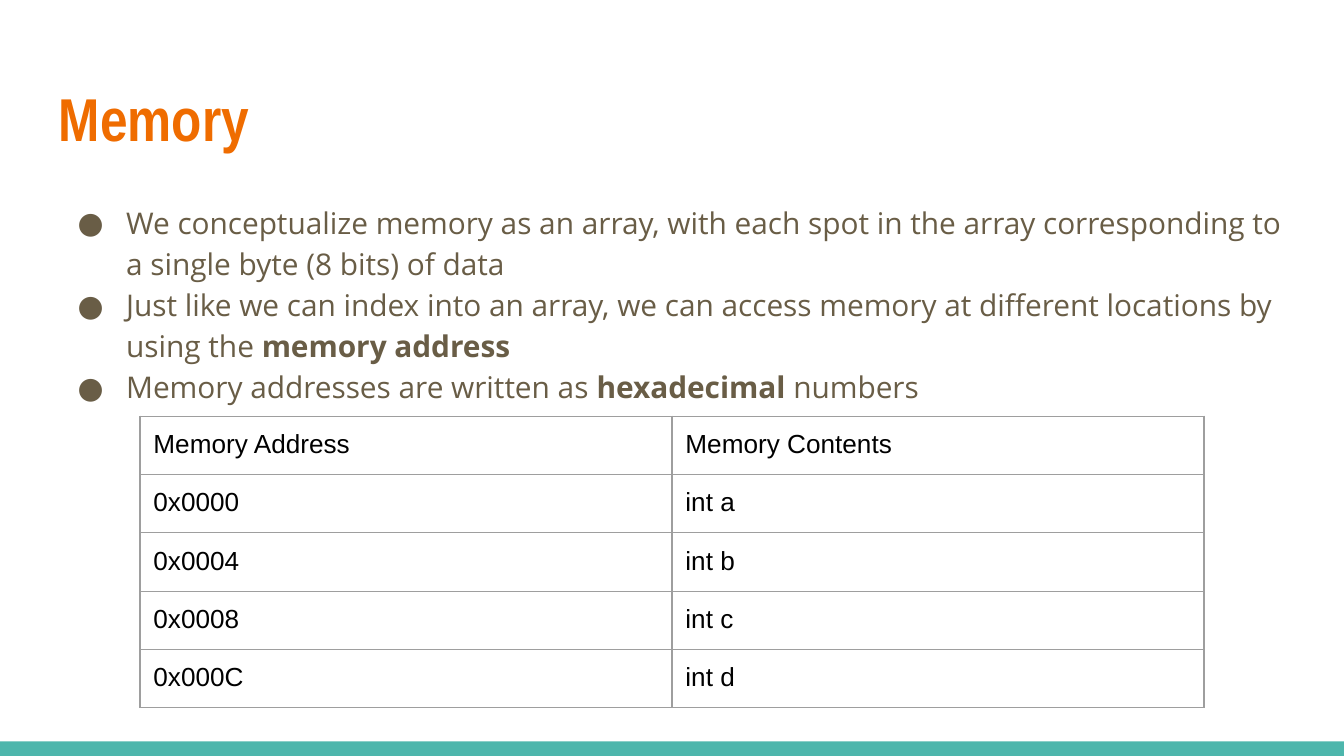
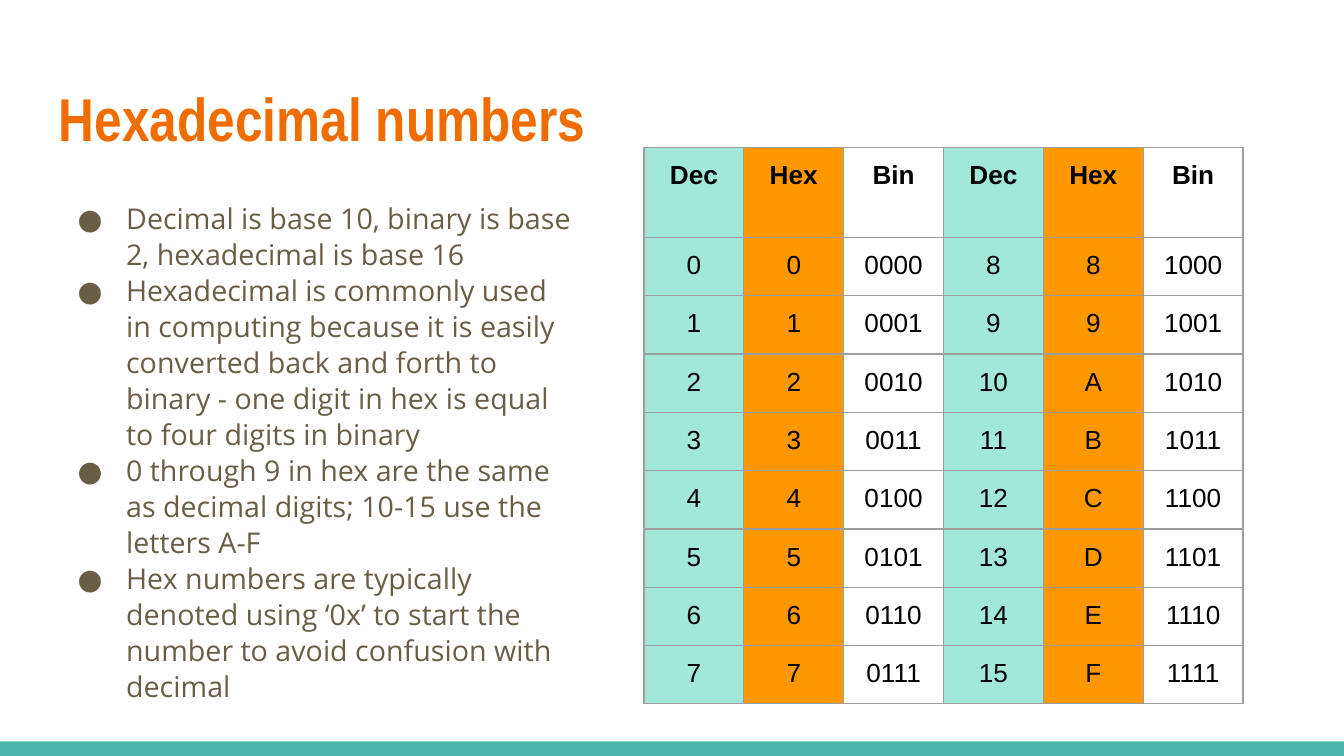
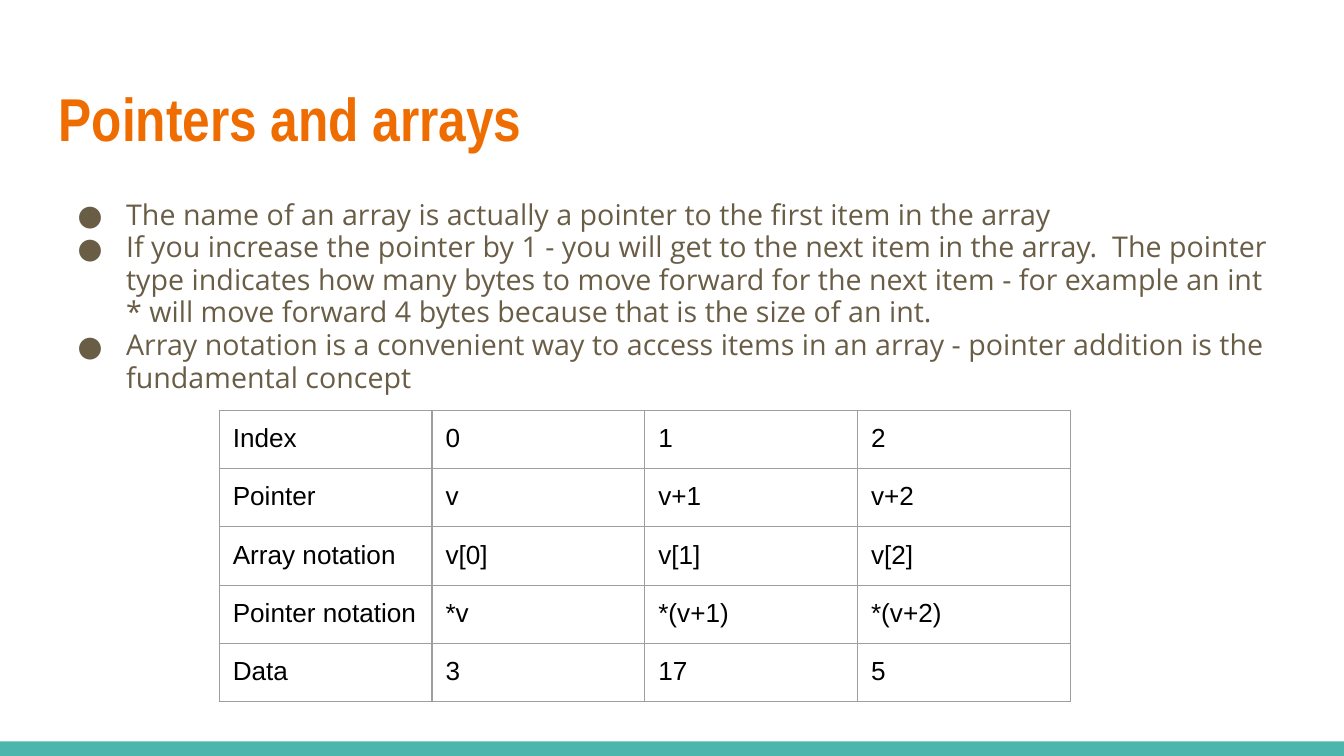
from lxml.etree import SubElement
from pptx import Presentation
from pptx.dml.color import RGBColor
from pptx.enum.shapes import MSO_SHAPE
from pptx.enum.text import MSO_ANCHOR, PP_ALIGN
from pptx.oxml.ns import qn
from pptx.util import Pt

# Shared style
TEAL, ORANGE, BROWN = "4DB6AC", "EF6C00", "695D46"
MINT, AMBER, GREY, BLACK = "A1E8D9", "FF9800", "9E9E9E", "000000"
TITLE_FONT, BODY_FONT, TABLE_FONT = "Arial Narrow", "Open Sans", "Arial"
SLIDE_WIDTH, SLIDE_HEIGHT = 720, 405
BAND_TOP = 397.2
TEXT_LEFT, TITLE_WIDTH = 24.5, 671
INSET = 7.2


def color(hex_string):
    return RGBColor.from_string(hex_string)


def add_run(paragraph, text, font_name, size, hex_string, bold=False):
    run = paragraph.add_run()
    run.text = text
    run.font.name = font_name
    run.font.size = Pt(size)
    run.font.bold = bold
    run.font.color.rgb = color(hex_string)


# Content: each bullet is a list of (text, bold) runs
hexadecimal_rows = [["Dec", "Hex", "Bin"] * 2]
for number in range(8):
    hexadecimal_rows.append([form for value in (number, number + 8)
                             for form in (f"{value}", f"{value:X}", f"{value:04b}")])

slides = [
    {
        "title": "Memory",
        "bullets": [
            [("We conceptualize memory as an array, with each spot in the array "
              "corresponding to a single byte (8 bits) of data", False)],
            [("Just like we can index into an array, we can access memory at "
              "different locations by using the ", False), ("memory address", True)],
            [("Memory addresses are written as ", False), ("hexadecimal ", True),
             ("numbers", False)],
        ],
        "body": {"width": 671, "height": 260, "size": 16, "spacing": 1.15},
        "table": {"left": 75, "top": 223, "column": 285, "header": 30.1, "row": 30.1},
        "rows": [["Memory Address", "Memory Contents"], ["0x0000", "int a"],
                 ["0x0004", "int b"], ["0x0008", "int c"], ["0x000C", "int d"]],
        "fills": [None],
        "align": PP_ALIGN.LEFT,
        "bold_header": False,
    },
    {
        "title": "Hexadecimal numbers",
        "bullets": [
            [("Decimal is base 10, binary is base 2, hexadecimal is base 16", False)],
            [("Hexadecimal is commonly used in computing because it is easily "
              "converted back and forth to binary - one digit in hex is equal to "
              "four digits in binary", False)],
            [("0 through 9 in hex are the same as decimal digits; 10-15 use the "
              "letters A-F", False)],
            [("Hex numbers are typically denoted using ‘0x’ to start the number "
              "to avoid confusion with decimal", False)],
        ],
        "body": {"width": 289.5, "height": 297.5, "size": 15.3, "spacing": 1.05},
        "table": {"left": 345, "top": 79, "column": 53.5, "header": 48.2, "row": 31.2},
        "rows": hexadecimal_rows,
        "fills": [MINT, AMBER, None],
        "align": PP_ALIGN.CENTER,
        "bold_header": True,
    },
    {
        "title": "Pointers and arrays",
        "bullets": [
            [("The name of an array is actually a pointer to the first item in the "
              "array", False)],
            [("If you increase the pointer by 1 - you will get to the next item in "
              "the array.  The pointer type indicates how many bytes to move forward "
              "for the next item - for example an int * will move forward 4 bytes "
              "because that is the size of an int.", False)],
            [("Array notation is a convenient way to access items in an array - "
              "pointer addition is the fundamental concept", False)],
        ],
        "body": {"width": 671, "height": 126, "size": 15.3, "spacing": 0.95},
        "table": {"left": 117.5, "top": 219.8, "column": 114, "header": 30.1, "row": 30.1},
        "rows": [["Index", "0", "1", "2"],
                 ["Pointer", "v", "v+1", "v+2"],
                 ["Array notation", "v[0]", "v[1]", "v[2]"],
                 ["Pointer notation", "*v", "*(v+1)", "*(v+2)"],
                 ["Data", "3", "17", "5"]],
        "fills": [None],
        "align": PP_ALIGN.LEFT,
        "bold_header": False,
    },
]

presentation = Presentation()
presentation.slide_width = Pt(SLIDE_WIDTH)
presentation.slide_height = Pt(SLIDE_HEIGHT)

for content in slides:
    slide = presentation.slides.add_slide(presentation.slide_layouts[6])

    # Bottom band
    band = slide.shapes.add_shape(MSO_SHAPE.RECTANGLE, Pt(0), Pt(BAND_TOP),
                                  Pt(SLIDE_WIDTH), Pt(SLIDE_HEIGHT - BAND_TOP))
    band.shadow.inherit = False
    band.fill.solid()
    band.fill.fore_color.rgb = color(TEAL)
    band.line.fill.background()

    # Title and body boxes
    body = content["body"]
    title_box = slide.shapes.add_textbox(Pt(TEXT_LEFT), Pt(35.5), Pt(TITLE_WIDTH), Pt(55))
    body_box = slide.shapes.add_textbox(Pt(TEXT_LEFT), Pt(99.5),
                                        Pt(body["width"]), Pt(body["height"]))
    for box in (title_box, body_box):
        frame = box.text_frame
        frame.word_wrap = True
        frame.margin_left = frame.margin_right = Pt(INSET)
        frame.margin_top = frame.margin_bottom = Pt(INSET)
    title_box.text_frame.vertical_anchor = MSO_ANCHOR.MIDDLE
    add_run(title_box.text_frame.paragraphs[0], content["title"],
            TITLE_FONT, 32.4, ORANGE, True)

    # Bullets
    for index, runs in enumerate(content["bullets"]):
        frame = body_box.text_frame
        paragraph = frame.add_paragraph() if index else frame.paragraphs[0]
        paragraph.line_spacing = body["spacing"]
        properties = paragraph._p.get_or_add_pPr()
        properties.set("marL", str(Pt(36)))
        properties.set("indent", str(-Pt(26)))
        bullet_color = SubElement(properties, qn("a:buClr"))
        SubElement(bullet_color, qn("a:srgbClr"), val=BROWN)
        SubElement(properties, qn("a:buFont"), typeface=BODY_FONT)
        SubElement(properties, qn("a:buChar"), char="●")
        for text, bold in runs:
            add_run(paragraph, text, BODY_FONT, body["size"], BROWN, bold)

    # Table grid
    rows, grid = content["rows"], content["table"]
    row_count, column_count = len(rows), len(rows[0])
    table = slide.shapes.add_table(
        row_count, column_count, Pt(grid["left"]), Pt(grid["top"]),
        Pt(grid["column"] * column_count),
        Pt(grid["header"] + grid["row"] * (row_count - 1))).table
    table.first_row = table.horz_banding = False
    for column in table.columns:
        column.width = Pt(grid["column"])
    for row_index, row in enumerate(table.rows):
        row.height = Pt(grid["row"] if row_index else grid["header"])

    # Table cells
    for row_index, values in enumerate(rows):
        for column_index, value in enumerate(values):
            cell = table.cell(row_index, column_index)
            cell.margin_left = cell.margin_right = Pt(INSET)
            cell.margin_top = cell.margin_bottom = Pt(INSET)
            paragraph = cell.text_frame.paragraphs[0]
            paragraph.alignment = content["align"]
            add_run(paragraph, value, TABLE_FONT, 14, BLACK,
                    content["bold_header"] and row_index == 0)
            for side in ("a:lnL", "a:lnR", "a:lnT", "a:lnB"):
                border = SubElement(cell._tc.get_or_add_tcPr(), qn(side), w=str(Pt(0.75)))
                border_fill = SubElement(border, qn("a:solidFill"))
                SubElement(border_fill, qn("a:srgbClr"), val=GREY)
            fill = content["fills"][column_index % len(content["fills"])]
            if fill:
                cell.fill.solid()
                cell.fill.fore_color.rgb = color(fill)
            else:
                cell.fill.background()

presentation.save("out.pptx")
